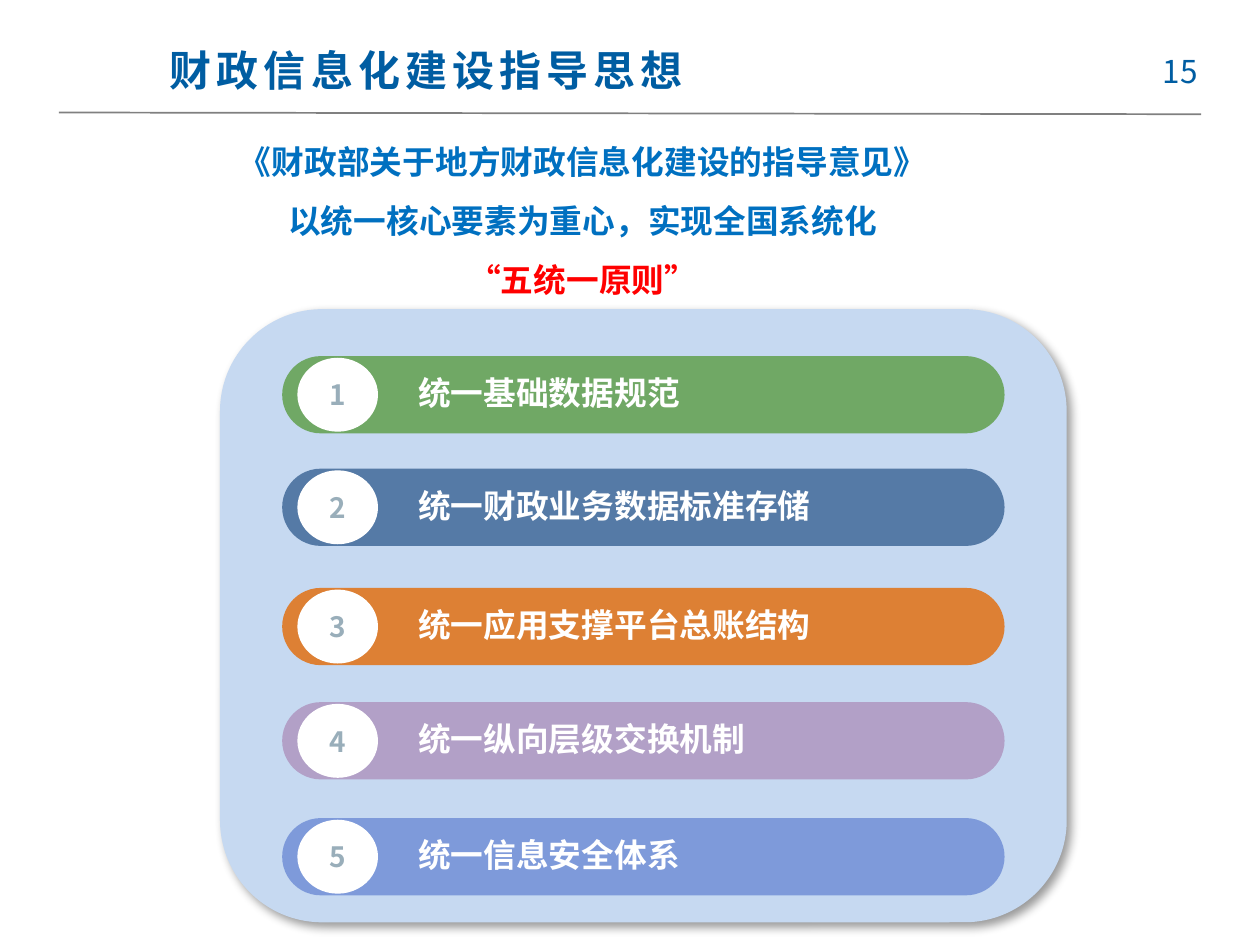
from lxml import etree
from pptx import Presentation
from pptx.dml.color import RGBColor
from pptx.enum.shapes import MSO_CONNECTOR, MSO_SHAPE
from pptx.enum.text import MSO_ANCHOR, PP_ALIGN
from pptx.oxml import parse_xml
from pptx.oxml.ns import qn
from pptx.util import Inches, Pt

LINE = MSO_CONNECTOR.STRAIGHT
ROUND, OVAL = MSO_SHAPE.ROUNDED_RECTANGLE, MSO_SHAPE.OVAL
TOP, MIDDLE = MSO_ANCHOR.TOP, MSO_ANCHOR.MIDDLE
LEFT, CENTER = PP_ALIGN.LEFT, PP_ALIGN.CENTER
FONT = "Noto Sans CJK SC"
COLORS = {
    "title": "005DA2", "rule": "808080", "intro": "0070C0", "accent": "FF0000",
    "panel": "C6D9F1", "white": "FFFFFF", "number": "99AEBA",
    "green": "539735", "blue": "366092", "orange": "E36C09",
    "purple": "B2A0C7", "indigo": "2E55C2",
}
INTRO = [
    ("《财政部关于地方财政信息化建设的指导意见》", "intro"),
    ("以统一核心要素为重心，实现全国系统化", "intro"),
    ("“五统一原则”", "accent"),
]
PRINCIPLES = [
    (0.28, "统一基础数据规范", "green", 74),
    (0.95, "统一财政业务数据标准存储", "blue", 78),
    (1.66, "统一应用支撑平台总账结构", "orange", 81),
    (2.34, "统一纵向层级交换机制", "purple", 100),
    (3.03, "统一信息安全体系", "indigo", 47),
]
SHADOW = (
    '<a:effectLst xmlns:a="http://schemas.openxmlformats.org/drawingml/2006/main">'
    '<a:outerShdw blurRad="50800" dist="38100" dir="2700000" algn="tl" rotWithShape="0">'
    '<a:srgbClr val="000000"><a:alpha val="40000"/></a:srgbClr>'
    '</a:outerShdw></a:effectLst>'
)


def rgb(name):
    return RGBColor.from_string(COLORS[name])


def write(tf, lines, size, bold=True, align=LEFT, anchor=TOP, insets=(0.1, 0.05),
          line_spacing=None, tracking=None):
    tf.word_wrap = True
    tf.vertical_anchor = anchor
    tf.margin_left = tf.margin_right = Inches(insets[0])
    tf.margin_top = tf.margin_bottom = Inches(insets[1])
    for i, (text, color) in enumerate(lines):
        p = tf.add_paragraph() if i else tf.paragraphs[0]
        p.alignment = align
        if line_spacing:
            p.line_spacing = line_spacing
        p.font.name, p.font.size, p.font.bold = FONT, Pt(size), bold
        p.font.color.rgb = rgb(color)
        r = p.add_run()
        r.text = text
        rPr = r._r.get_or_add_rPr()
        if tracking:
            rPr.set("spc", str(tracking))
        etree.SubElement(rPr, qn("a:ea")).set("typeface", FONT)


def add_text(s, x, y, w, h, lines, size, **style):
    tb = s.shapes.add_textbox(Inches(x), Inches(y), Inches(w), Inches(h))
    write(tb.text_frame, lines, size, **style)


def add_shape(s, kind, x, y, w, h, color, opacity=100):
    sp = s.shapes.add_shape(kind, Inches(x), Inches(y), Inches(w), Inches(h))
    sp.shadow.inherit = False
    sp.fill.solid()
    sp.fill.fore_color.rgb = rgb(color)
    sp.line.fill.background()
    if opacity < 100:
        clr = sp._element.spPr.find(qn("a:solidFill"))[0]
        etree.SubElement(clr, qn("a:alpha")).set("val", str(opacity * 1000))
    return sp


def add_header(s, x, y, w, h):
    rule = s.shapes.add_connector(
        LINE, Inches(x), Inches(y + h - 0.01), Inches(x + w), Inches(y + h))
    rule.line.color.rgb = rgb("rule")
    rule.line.width = Pt(0.75)
    etree.SubElement(rule._element.spPr, qn("a:effectLst"))
    add_text(s, x + w - 0.4, y + 0.05, 0.55, 0.33, [("15", "title")], 13.5,
             bold=False, align=CENTER)
    add_text(s, x + 0.59, y, 3.36, 0.41, [("财政信息化建设指导思想", "title")], 18,
             anchor=MIDDLE, insets=(0.07, 0.04), tracking=220)


def add_intro(s, x, y, w, h):
    add_text(s, x, y, w, h, INTRO, 14, align=CENTER, insets=(0.08, 0.04),
             line_spacing=1.5)


def add_principle(s, x, y, w, h, number, label, color, opacity):
    bar = add_shape(s, ROUND, x, y, w, h, color, opacity)
    bar.adjustments[0] = 0.5
    disc = add_shape(s, OVAL, x + 0.09, y + 0.01, 0.48, h - 0.02, "white")
    write(disc.text_frame, [(str(number), "number")], 12, align=CENTER, anchor=MIDDLE)
    add_text(s, x + 0.71, y + 0.05, 3.14, 0.34, [(label, "white")], 14)


def add_panel(s, x, y, w, h):
    panel = add_shape(s, ROUND, x, y, w, h, "panel")
    spPr = panel._element.spPr
    spPr.replace(spPr.find(qn("a:effectLst")), parse_xml(SHADOW))
    for number, (top, label, color, opacity) in enumerate(PRINCIPLES, 1):
        add_principle(s, x + 0.37, y + top, w - 0.74, 0.46, number, label, color, opacity)


def main():
    prs = Presentation()
    prs.slide_width = Inches(7.5)
    prs.slide_height = prs.slide_width * 3 // 4
    s = prs.slides.add_slide(prs.slide_layouts[6])
    add_header(s, 0.35, 0.21, 6.8, 0.47)
    add_intro(s, 0.44, 0.69, 6.06, 0.87)
    add_panel(s, 1.31, 1.84, 5.04, 3.65)
    prs.save("out.pptx")


if __name__ == "__main__":
    main()
